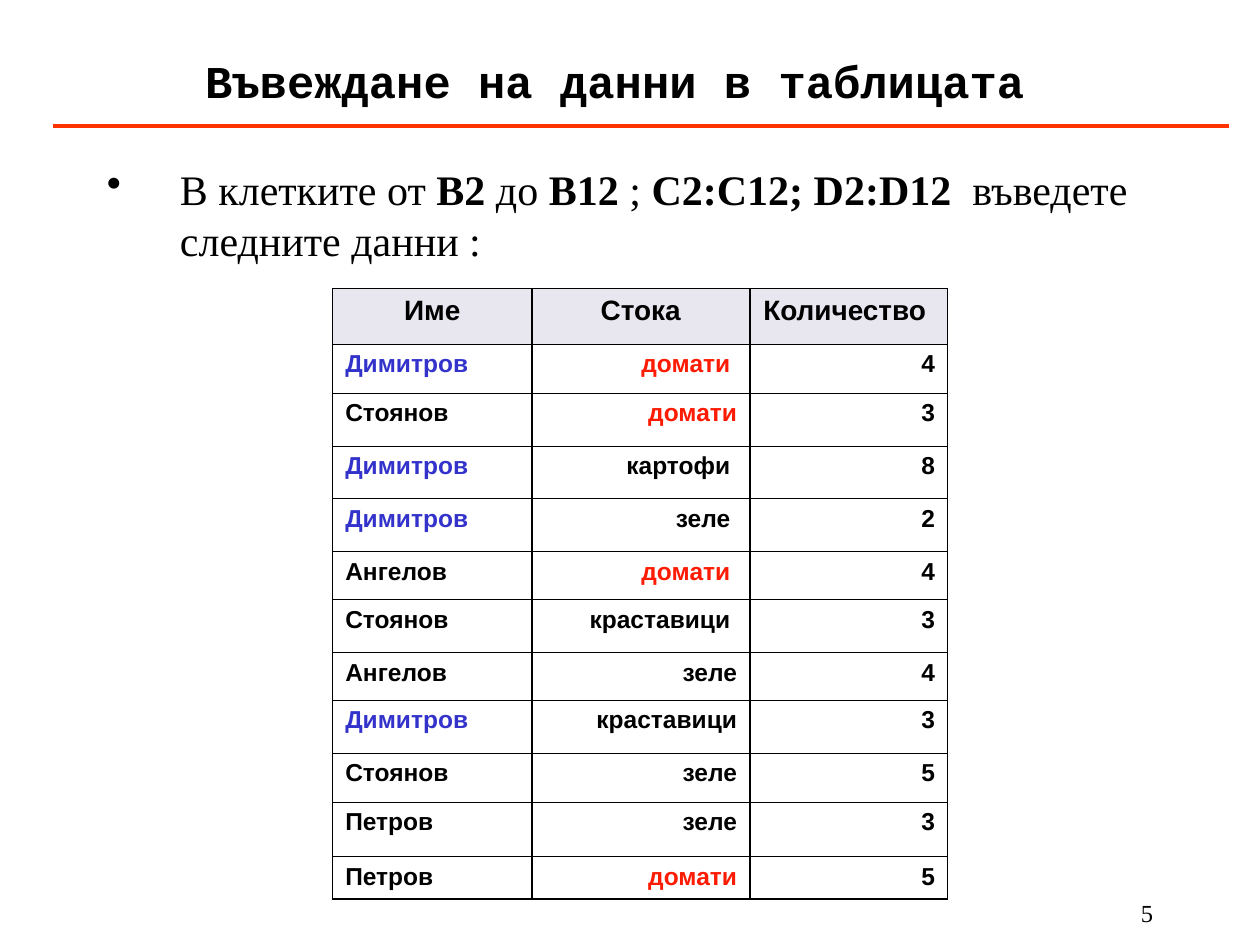
from lxml import etree
from pptx import Presentation
from pptx.dml.color import RGBColor
from pptx.enum.shapes import MSO_CONNECTOR
from pptx.enum.text import MSO_ANCHOR, PP_ALIGN
from pptx.oxml.ns import qn
from pptx.util import Inches, Pt

LEFT, CENTER, RIGHT = PP_ALIGN.LEFT, PP_ALIGN.CENTER, PP_ALIGN.RIGHT
MIDDLE = MSO_ANCHOR.MIDDLE
STRAIGHT = MSO_CONNECTOR.STRAIGHT

BLACK = RGBColor(0x00, 0x00, 0x00)
BLUE = RGBColor(0x33, 0x33, 0xCC)
RED = RGBColor(0xFD, 0x1B, 0x03)
ORANGE = RGBColor(0xFF, 0x33, 0x00)
LAVENDER = RGBColor(0xD2, 0xD1, 0xE3)
HIGHLIGHTS = {"Димитров": BLUE, "домати": RED}

SANS, SERIF, MONO = "Arial", "Times New Roman", "Courier New"
THIN, THICK = 0.45, 1.08

COL_WIDTHS = [1.58, 1.73, 1.57]
ROW_HEIGHTS = [0.44, 0.39, 0.42, 0.42, 0.42, 0.38, 0.42, 0.38, 0.42, 0.39, 0.43, 0.34]
HEADER = ("Име", "Стока", "Количество ")
ORDERS = [
    ("Димитров", "домати ", 4),
    ("Стоянов", "домати", 3),
    ("Димитров", "картофи ", 8),
    ("Димитров", "зеле ", 2),
    ("Ангелов", "домати ", 4),
    ("Стоянов", "краставици ", 3),
    ("Ангелов", "зеле", 4),
    ("Димитров", "краставици", 3),
    ("Стоянов", "зеле", 5),
    ("Петров", "зеле", 3),
    ("Петров", "домати", 5),
]
INSTRUCTION = [
    ("В клетките от ", False), ("В2", True), (" до ", False), ("В12 ", True),
    ("; ", False), ("C2:C12; D2:D12 ", True), (" въведете следните данни :", False),
]


def add_run(p, text, size, font, color=BLACK, bold=False):
    r = p.add_run()
    r.text = text
    r.font.size, r.font.name, r.font.bold = Pt(size), font, bold
    r.font.color.rgb = color


def place_title(slide, left, top, width, height):
    sp = slide.shapes.title
    sp.left, sp.top, sp.width, sp.height = map(Inches, (left, top, width, height))
    tf = sp.text_frame
    tf.vertical_anchor = MIDDLE
    p = tf.paragraphs[0]
    p.alignment = CENTER
    add_run(p, "Въвеждане на данни в таблицата", 26, MONO, bold=True)
    add_run(p, " ", 28, MONO, bold=True)


def add_title_rule(slide, left, top, width):
    line = slide.shapes.add_connector(
        STRAIGHT, Inches(left), Inches(top), Inches(left + width), Inches(top))
    line.line.color.rgb = ORANGE
    line.line.width = Pt(2.25)
    etree.SubElement(line._element.spPr, qn("a:effectLst"))


def add_text_box(slide, left, top, width, height):
    """Add a wrapping text box and return its first paragraph."""
    box = slide.shapes.add_textbox(*map(Inches, (left, top, width, height)))
    box.text_frame.word_wrap = True
    return box.text_frame.paragraphs[0]


def add_instruction(slide, left, top, width, height):
    p = add_text_box(slide, left, top, width, height)
    pPr = p._p.get_or_add_pPr()
    indent = Inches(0.58)
    pPr.set("marL", str(indent))
    pPr.set("indent", str(-indent))
    etree.SubElement(pPr, qn("a:buChar"), char="•")
    for text, bold in INSTRUCTION:
        add_run(p, text, 24, SERIF, bold=bold)


def add_slide_number(slide, left, top, width, height):
    p = add_text_box(slide, left, top, width, height)
    p.alignment = RIGHT
    add_run(p, "5", 14, SERIF)


def set_borders(cell, widths):
    """Draw black borders; widths are in points: left, right, top, bottom."""
    tcPr = cell._tc.get_or_add_tcPr()
    for side, width in zip("LRTB", widths):
        ln = etree.SubElement(tcPr, qn(f"a:ln{side}"), w=str(Pt(width)))
        fill = etree.SubElement(ln, qn("a:solidFill"))
        etree.SubElement(fill, qn("a:srgbClr"), val=str(BLACK))


def fill_header(cell):
    cell.fill.solid()
    cell.fill.fore_color.rgb = LAVENDER
    color = cell._tc.tcPr.find(f"{qn('a:solidFill')}/{qn('a:srgbClr')}")
    etree.SubElement(color, qn("a:alpha"), val="50000")


def add_orders_table(slide, left, top):
    rows = [HEADER, *ORDERS]
    last = len(rows) - 1
    table = slide.shapes.add_table(
        len(rows), len(HEADER), Inches(left), Inches(top),
        Inches(sum(COL_WIDTHS)), Inches(sum(ROW_HEIGHTS))).table
    table.horz_banding = False
    for column, width in zip(table.columns, COL_WIDTHS):
        column.width = Inches(width)
    for i, (row, height) in enumerate(zip(rows, ROW_HEIGHTS)):
        table.rows[i].height = Inches(height)
        for j, value in enumerate(row):
            cell = table.cell(i, j)
            set_borders(cell, (THICK, THICK, THICK if i == 0 else THIN,
                               THICK if i == last else THIN))
            p = cell.text_frame.paragraphs[0]
            text = str(value)
            color = HIGHLIGHTS.get(text.strip(), BLACK)
            if i == 0:
                fill_header(cell)
                p.alignment = CENTER
            else:
                cell.fill.background()
                p.alignment = LEFT if j == 0 else RIGHT
            add_run(p, text, 16 if i == 0 else 14, SANS, color, bold=True)


def main():
    prs = Presentation()
    prs.slide_width, prs.slide_height = Inches(10), Inches(7.5)
    slide = prs.slides.add_slide(prs.slide_layouts[5])
    add_title_rule(slide, 0.42, 1, 9.33)
    add_slide_number(slide, 8.08, 7.08, 1.17, 0.25)
    place_title(slide, 0.75, 0.25, 8.5, 0.75)
    add_instruction(slide, 0.75, 1.25, 8.74, 1.16)
    add_orders_table(slide, 2.64, 2.29)
    prs.save("out.pptx")


if __name__ == "__main__":
    main()
